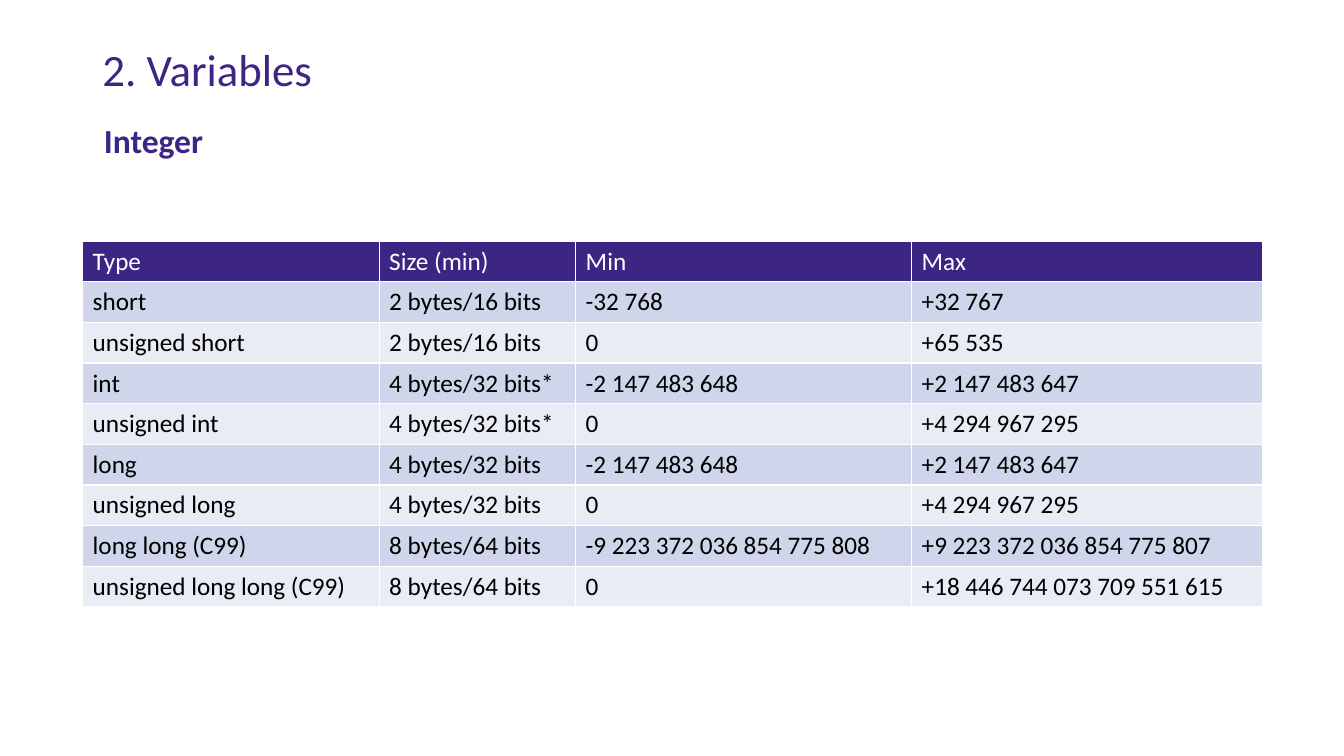
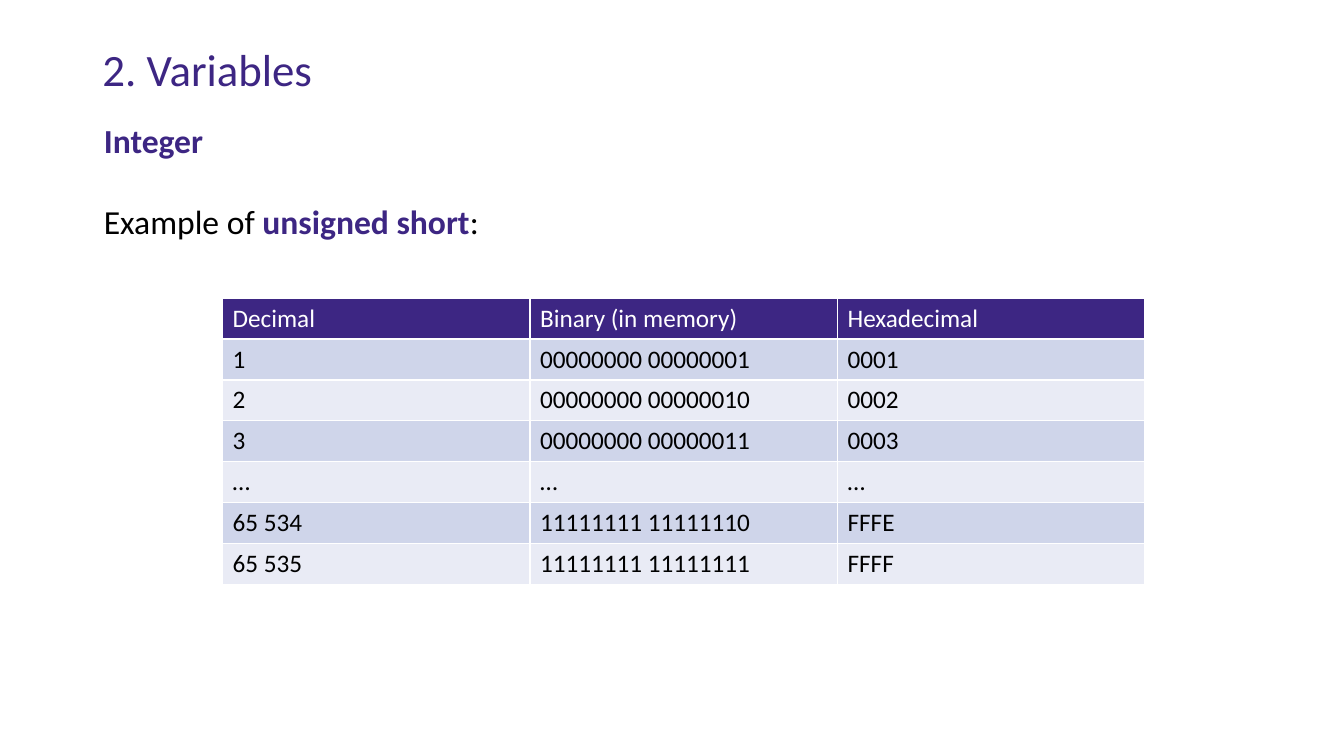
"""Build two slides on integer variables, each with a title, a body and a table."""
from lxml.etree import SubElement
from pptx import Presentation
from pptx.dml.color import RGBColor
from pptx.enum.text import MSO_ANCHOR as ANCHOR, MSO_AUTO_SIZE as FIT, PP_ALIGN as ALIGN
from pptx.oxml.ns import qn
from pptx.util import Inches, Pt

PURPLE, WHITE, BLACK = "3D2683", "FFFFFF", "000000"
BANDS = "CFD5EA", "E9EBF5"
HEADING = {"size": Pt(24), "bold": True, "color": PURPLE}
PLAIN = {"size": Pt(24), "bold": False, "color": BLACK}

SLIDES = [
    {
        "body": [[("Integer", HEADING)]],
        "body_rows": 10.9,
        "origin": (9.84, 28.7),
        "cols": [35.3, 23.4, 40, 41.8],
        "row": 4.84,
        "cells": [
            ("Type", "Size (min)", "Min", "Max"),
            ("short", "2 bytes/16 bits", "-32 768", "+32 767"),
            ("unsigned short", "2 bytes/16 bits", "0", "+65 535"),
            ("int", "4 bytes/32 bits*", "-2 147 483 648", "+2 147 483 647"),
            ("unsigned int", "4 bytes/32 bits*", "0", "+4 294 967 295"),
            ("long", "4 bytes/32 bits", "-2 147 483 648", "+2 147 483 647"),
            ("unsigned long", "4 bytes/32 bits", "0", "+4 294 967 295"),
            ("long long (C99)", "8 bytes/64 bits",
             "-9 223 372 036 854 775 808", "+9 223 372 036 854 775 807"),
            ("unsigned long long (C99)", "8 bytes/64 bits",
             "0", "+18 446 744 073 709 551 615"),
        ],
    },
    {
        "body": [
            [("Integer", HEADING)],
            [("Example of ", PLAIN), ("unsigned short", HEADING), (":", PLAIN)],
        ],
        "body_rows": 20.6,
        "origin": (26.5, 35.5),
        "cols": [36.6] * 3,
        "row": 4.87,
        "cells": [
            ("Decimal", "Binary (in memory)", "Hexadecimal"),
            ("1", "00000000 00000001", "0001"),
            ("2", "00000000 00000010", "0002"),
            ("3", "00000000 00000011", "0003"),
            ("…", "…", "…"),
            ("65 534", "11111111 11111110", "FFFE"),
            ("65 535", "11111111 11111111", "FFFF"),
        ],
    },
]


def rgb(color):
    return RGBColor.from_string(color)


def add_run(p, text, fmt):
    r = p.add_run()
    r.text = text
    for name, value in {"name": "Calibri", **fmt}.items():
        if name == "color":
            r.font.color.rgb = rgb(value)
        else:
            setattr(r.font, name, value)


prs = Presentation()
prs.slide_width, prs.slide_height = Inches(13.33), Inches(7.5)
COL, ROW = prs.slide_width / 160, prs.slide_height / 90

for data in SLIDES:
    s = prs.slides.add_slide(prs.slide_layouts[1])
    title, body = s.placeholders
    for sp, (x, y, w, h), anchor, fit in (
        (title, (11, 4.8, 138, 7.6), ANCHOR.MIDDLE, FIT.NONE),
        (body, (11.16, 13.7, 140.4, data["body_rows"]), ANCHOR.TOP, FIT.SHAPE_TO_FIT_TEXT),
    ):
        sp.left, sp.top = int(x * COL), int(y * ROW)
        sp.width, sp.height = int(w * COL), int(h * ROW)
        sp.text_frame.vertical_anchor = anchor
        sp.text_frame.auto_size = fit

    p = title.text_frame.paragraphs[0]
    p.alignment, p.line_spacing = ALIGN.LEFT, 0.9
    add_run(p, "2. Variables", {"size": Pt(32), "color": PURPLE})

    tf = body.text_frame
    for i, runs in enumerate(data["body"]):
        p = tf.add_paragraph() if i else tf.paragraphs[0]
        p.space_before = Pt(29 if i else 0)
        pPr = p._p.get_or_add_pPr()
        pPr.set("marL", "0")
        pPr.set("indent", "0")
        SubElement(pPr, qn("a:buNone"))
        for text, fmt in runs:
            add_run(p, text, fmt)

    cells, cols = data["cells"], data["cols"]
    x, y = data["origin"]
    table = s.shapes.add_table(
        len(cells), len(cols), int(x * COL), int(y * ROW),
        int(sum(cols) * COL), int(len(cells) * data["row"] * ROW),
    ).table
    for column, width in zip(table.columns, cols):
        column.width = int(width * COL)
    for i, texts in enumerate(cells):
        fill, color = (BANDS[(i - 1) % 2], BLACK) if i else (PURPLE, WHITE)
        for j, text in enumerate(texts):
            cell = table.cell(i, j)
            tcPr = cell._tc.get_or_add_tcPr()
            for side in "LRTB":
                ln = SubElement(tcPr, qn(f"a:ln{side}"), w=str(Pt(1)))
                SubElement(SubElement(ln, qn("a:solidFill")), qn("a:srgbClr"), val=WHITE)
            cell.fill.solid()
            cell.fill.fore_color.rgb = rgb(fill)
            add_run(cell.text_frame.paragraphs[0], text,
                    {"size": Pt(18), "bold": False, "color": color})

prs.save("out.pptx")
